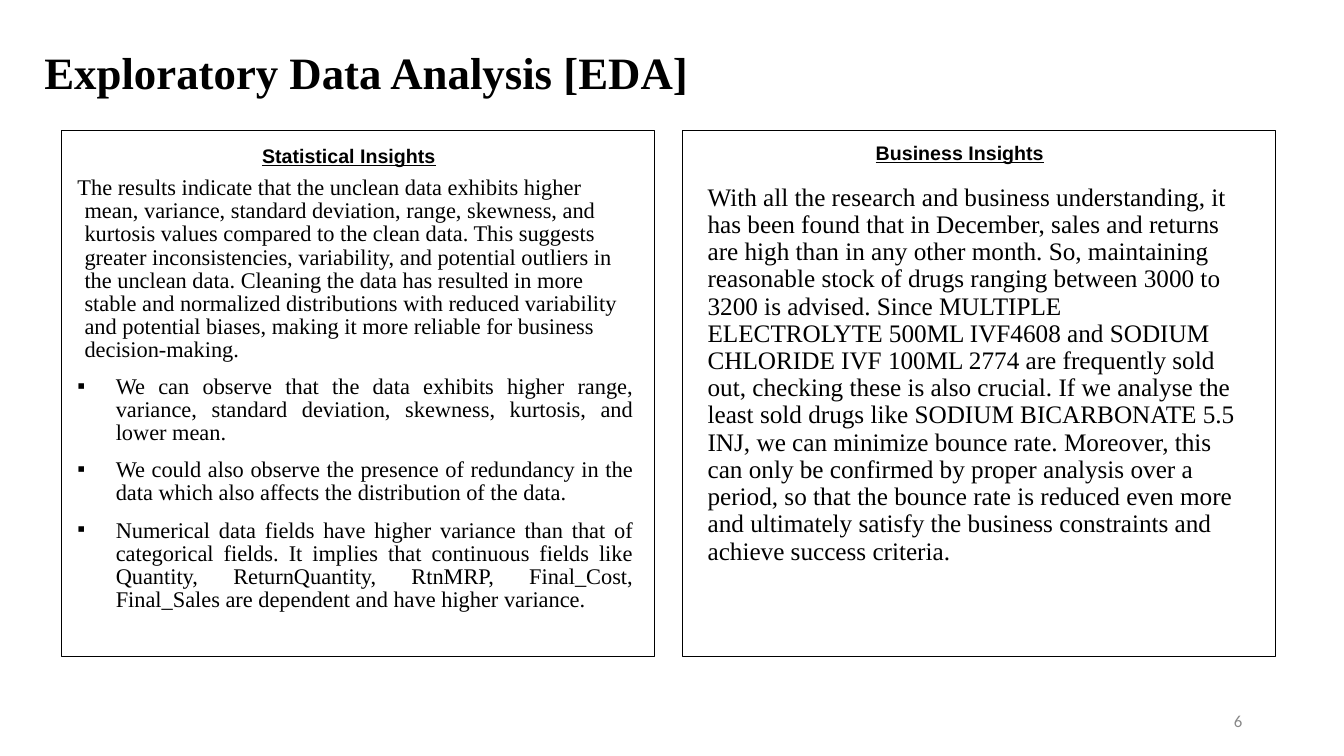
from dataclasses import dataclass

from lxml.etree import SubElement
from pptx import Presentation
from pptx.dml.color import RGBColor
from pptx.enum.shapes import MSO_SHAPE
from pptx.enum.text import MSO_ANCHOR, MSO_AUTO_SIZE, PP_ALIGN
from pptx.oxml.ns import qn
from pptx.util import Inches, Pt

BLACK = RGBColor(0x00, 0x00, 0x00)
GREY = RGBColor(0x88, 0x88, 0x88)
SERIF = "Times New Roman"

PANEL_LEFT, PANEL_TOP, PANEL_WIDTH, PANEL_HEIGHT = 0.61, 1.29, 5.88, 5.22
PANEL_STEP = 6.16


@dataclass(frozen=True)
class Style:
    size: float
    font: str = SERIF
    color: RGBColor = BLACK
    bold: bool = False
    underline: bool = False
    align: PP_ALIGN = PP_ALIGN.LEFT
    line_spacing: float = 1.0
    before: float = 0
    after: float = 0
    margin: float = 0
    indent: float = 0
    bullet: str = ""


@dataclass(frozen=True)
class Para:
    text: str
    style: Style


@dataclass(frozen=True)
class TextBlock:
    left: float
    top: float
    width: float
    height: float
    paras: tuple[Para, ...]
    anchor: MSO_ANCHOR = MSO_ANCHOR.TOP
    auto_size: MSO_AUTO_SIZE = MSO_AUTO_SIZE.NONE


TITLE = Style(32, bold=True, line_spacing=0.9)
HEADING = Style(14, font="Arial", bold=True, underline=True, align=PP_ALIGN.CENTER)
SUMMARY = Style(16, line_spacing=0.86, before=9.1, margin=0.07, indent=-0.07)
FINDING = Style(16, align=PP_ALIGN.JUSTIFY, line_spacing=0.86, before=10,
                margin=0.38, indent=-0.38, bullet="▪")
ADVICE = Style(18, line_spacing=0.9, before=10, margin=0.03)
PAGE_NUMBER = Style(12, font="Calibri", color=GREY, align=PP_ALIGN.RIGHT)

TITLE_BLOCK = TextBlock(
    0.34, 0.45, 7.72, 0.59, (Para("Exploratory Data Analysis [EDA]", TITLE),),
    MSO_ANCHOR.MIDDLE, MSO_AUTO_SIZE.SHAPE_TO_FIT_TEXT)

STATISTICS = (
    Para("The results indicate that the unclean data exhibits higher mean, variance, "
         "standard deviation, range, skewness, and kurtosis values compared to the clean "
         "data. This suggests greater inconsistencies, variability, and potential outliers "
         "in the unclean data. Cleaning the data has resulted in more stable and normalized "
         "distributions with reduced variability and potential biases, making it more "
         "reliable for business decision-making.", SUMMARY),
    Para("We can observe that the data exhibits higher range, variance, standard deviation, "
         "skewness, kurtosis, and lower mean.", FINDING),
    Para("We could also observe the presence of redundancy in the data which also affects "
         "the distribution of the data.", FINDING),
    Para("Numerical data fields have higher variance than that of categorical fields. It "
         "implies that continuous fields like Quantity, ReturnQuantity, RtnMRP, Final_Cost, "
         "Final_Sales are dependent and have higher variance.", FINDING),
)

BUSINESS = (
    Para("With all the research and business understanding, it has been found that in "
         "December, sales and returns are high than in any other month. So, maintaining "
         "reasonable stock of drugs ranging between 3000 to 3200 is advised. Since MULTIPLE "
         "ELECTROLYTE 500ML IVF4608 and SODIUM CHLORIDE IVF 100ML 2774 are frequently sold "
         "out, checking these is also crucial. If we analyse the least sold drugs like "
         "SODIUM BICARBONATE 5.5 INJ, we can minimize bounce rate. Moreover, this can only "
         "be confirmed by proper analysis over a period, so that the bounce rate is reduced "
         "even more and ultimately satisfy the business constraints and achieve success "
         "criteria.", ADVICE),
)

TEXT_BLOCKS = (
    TextBlock(6.89, 1.78, 5.53, 4.63, BUSINESS),
    TextBlock(0.67, 1.71, 5.71, 5.48, STATISTICS),
    TextBlock(0.52, 1.38, PANEL_WIDTH, 0.34, (Para("Statistical Insights", HEADING),),
              auto_size=MSO_AUTO_SIZE.SHAPE_TO_FIT_TEXT),
    TextBlock(6.58, 1.35, PANEL_WIDTH, 0.34, (Para("Business Insights", HEADING),),
              auto_size=MSO_AUTO_SIZE.SHAPE_TO_FIT_TEXT),
    TextBlock(9.42, 6.95, 3, 0.4, (Para("6", PAGE_NUMBER),), MSO_ANCHOR.MIDDLE),
)


def format_paragraph(paragraph, style: Style) -> None:
    paragraph.alignment = style.align
    paragraph.line_spacing = style.line_spacing
    paragraph.space_before = Pt(style.before)
    paragraph.space_after = Pt(style.after)
    properties = paragraph._p.get_or_add_pPr()
    properties.set("marL", str(Inches(style.margin)))
    properties.set("indent", str(Inches(style.indent)))
    if style.bullet:
        bullet_color = SubElement(properties, qn("a:buClr"))
        SubElement(bullet_color, qn("a:srgbClr"), val=str(style.color))
        SubElement(properties, qn("a:buFont"), typeface="Arial")
        SubElement(properties, qn("a:buChar"), char=style.bullet)
    for span in paragraph.runs:
        span.font.size = Pt(style.size)
        span.font.name = style.font
        span.font.bold = style.bold
        span.font.underline = style.underline
        span.font.color.rgb = style.color


def fill_block(box, block: TextBlock) -> None:
    box.left, box.top = Inches(block.left), Inches(block.top)
    box.width, box.height = Inches(block.width), Inches(block.height)
    frame = box.text_frame
    frame.word_wrap = True
    frame.auto_size = block.auto_size
    frame.vertical_anchor = block.anchor
    frame.text = "\n".join(para.text for para in block.paras)
    for paragraph, para in zip(frame.paragraphs, block.paras):
        format_paragraph(paragraph, para.style)


def add_panel(page, index: int) -> None:
    panel = page.shapes.add_shape(
        MSO_SHAPE.RECTANGLE, Inches(PANEL_LEFT + index * PANEL_STEP), Inches(PANEL_TOP),
        Inches(PANEL_WIDTH), Inches(PANEL_HEIGHT))
    panel.shadow.inherit = False
    panel.fill.background()
    panel.line.color.rgb = BLACK
    panel.line.width = Pt(0.75)


def main() -> None:
    deck = Presentation()
    deck.slide_width, deck.slide_height = Inches(13.33), Inches(7.5)
    page = deck.slides.add_slide(deck.slide_layouts[5])
    fill_block(page.shapes.title, TITLE_BLOCK)
    for index in range(2):
        add_panel(page, index)
    for block in TEXT_BLOCKS:
        box = page.shapes.add_textbox(0, 0, 0, 0)
        fill_block(box, block)
    deck.save("out.pptx")


if __name__ == "__main__":
    main()
